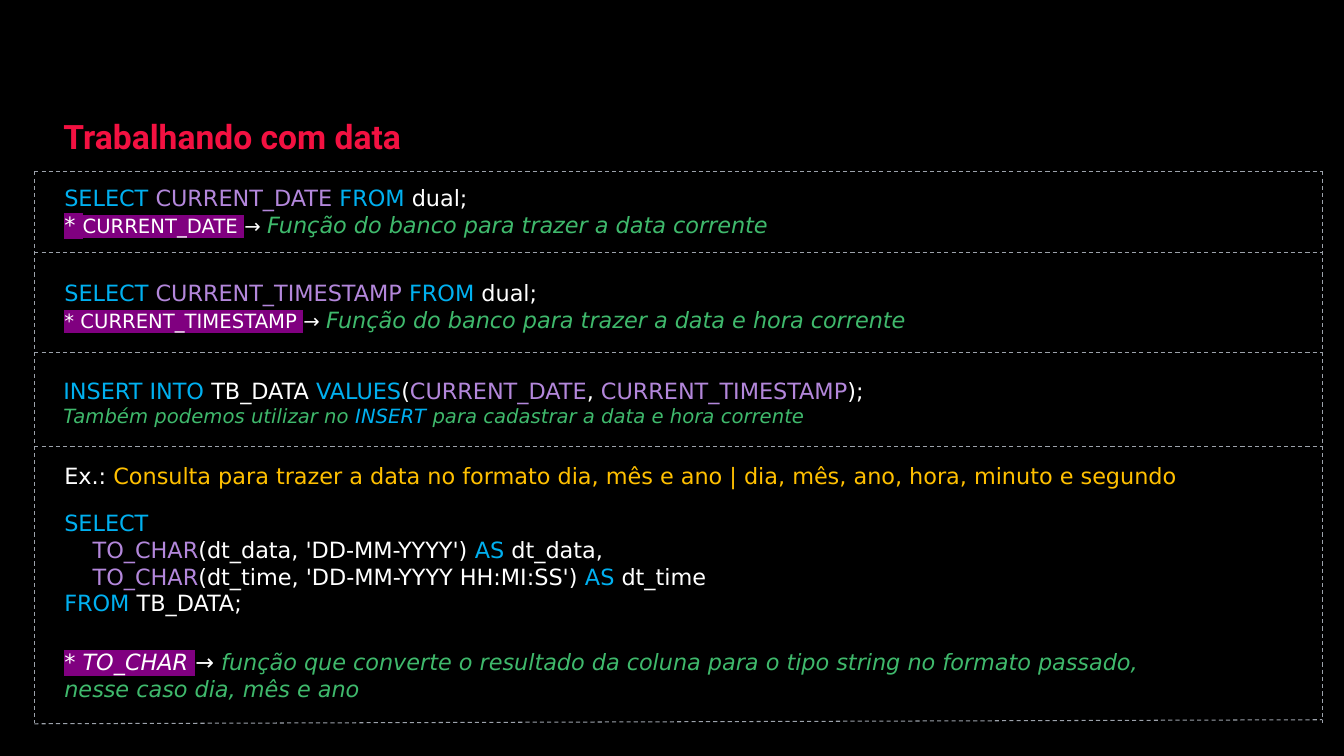
from lxml import etree
from pptx import Presentation
from pptx.dml.color import RGBColor
from pptx.enum.dml import MSO_LINE
from pptx.enum.text import MSO_AUTO_SIZE
from pptx.oxml.ns import qn
from pptx.util import Pt

DASH = MSO_LINE.DASH
GROW = MSO_AUTO_SIZE.SHAPE_TO_FIT_TEXT

COLOURS = {
    "background": "000000",
    "title": "F31141",
    "keyword": "00B0F0",
    "function": "B387DB",
    "plain": "FFFFFF",
    "note": "3FB96C",
    "example": "FFC000",
    "highlight": "800080",
    "border": "9CA2AB",
}
CODE_FONT = "DejaVu Sans"
TITLE_FONT = "Roboto"
TEXT_LEFT = 38.9
FRAME_LEFT, FRAME_RIGHT = 24.5, 944.6
FRAME_TOP, FRAME_BOTTOM = 122.4, 516.2


def rgb(name):
    return RGBColor.from_string(COLOURS[name])


def add_run(paragraph, text, colour, size=16, italic=False, marked=False,
            font_name=CODE_FONT, bold=False):
    run = paragraph.add_run()
    run.text = text
    font = run.font
    font.size = Pt(size)
    font.italic = italic
    font.bold = bold
    font.color.rgb = rgb(colour)
    font.name = font_name
    if marked:
        # The highlight must stand before the typeface
        highlight = etree.Element(qn("a:highlight"))
        etree.SubElement(highlight, qn("a:srgbClr"), val=COLOURS["highlight"])
        run._r.rPr.find(qn("a:latin")).addprevious(highlight)


def add_text(slide, left, top, width, height, lines):
    """Each line is a list of runs: text, colour and optional settings."""
    box = slide.shapes.add_textbox(Pt(left), Pt(top), Pt(width), Pt(height))
    frame = box.text_frame
    frame.word_wrap = True
    frame.auto_size = GROW
    for index, runs in enumerate(lines):
        paragraph = frame.add_paragraph() if index else frame.paragraphs[0]
        for text, colour, *settings in runs:
            add_run(paragraph, text, colour, **(settings[0] if settings else {}))


def add_dashed_line(slide, x1, y1, x2, y2):
    line = slide.shapes.add_connector(1, Pt(x1), Pt(y1), Pt(x2), Pt(y2))
    line.line.color.rgb = rgb("border")
    line.line.width = Pt(0.75)
    line.line.dash_style = DASH
    etree.SubElement(line._element.spPr, qn("a:effectLst"))


def select_line(function):
    return [("SELECT ", "keyword"), (function + " ", "function"),
            ("FROM", "keyword"), (" dual;", "plain")]


def to_char_line(column, pattern, ending=""):
    return [("    ", "plain"), ("TO_CHAR", "function"),
            (f"({column}, '{pattern}') ", "plain"), ("AS", "keyword"),
            (f" {column.lower()}{ending}", "plain")]


def add_function_section(slide, top, width, function, star, purpose):
    explanation = [
        ("* ", "plain", {"marked": True, **star}),
        (function + " ", "plain", {"marked": True, "size": 14}),
        ("→ ", "plain", {"size": 14}),
        ("Função do banco para trazer a " + purpose, "note", {"italic": True}),
    ]
    add_text(slide, TEXT_LEFT, top, width, 46, [select_line(function), explanation])


def add_frame(slide):
    for y in (FRAME_TOP, 180.7, 252, 319):
        add_dashed_line(slide, FRAME_LEFT, y, FRAME_RIGHT, y)
    add_dashed_line(slide, FRAME_LEFT, 517, FRAME_RIGHT, 514.1)
    for x in (FRAME_LEFT, FRAME_RIGHT):
        add_dashed_line(slide, x, FRAME_TOP, x, FRAME_BOTTOM)


def main():
    presentation = Presentation()
    presentation.slide_width, presentation.slide_height = Pt(960), Pt(540)
    slide = presentation.slides.add_slide(presentation.slide_layouts[6])
    slide.background.fill.solid()
    slide.background.fill.fore_color.rgb = rgb("background")

    # Title
    add_text(slide, 38.2, 79.2, 480, 36, [[
        ("Trabalhando com data", "title",
         {"size": 24, "bold": True, "font_name": TITLE_FONT})]])

    # Current date and timestamp
    add_function_section(slide, 128.2, 576, "CURRENT_DATE", {}, "data corrente")
    add_function_section(slide, 195.8, 652, "CURRENT_TIMESTAMP",
                         {"size": 14, "italic": True}, "data e hora corrente")

    # Insert
    small_note = {"size": 14, "italic": True}
    add_text(slide, 38.2, 265.7, 619, 44, [
        [("INSERT INTO ", "keyword"), ("TB_DATA ", "plain"),
         ("VALUES", "keyword"), ("(", "plain"), ("CURRENT_DATE", "function"),
         (", ", "plain"), ("CURRENT_TIMESTAMP", "function"), (");", "plain")],
        [("Também podemos utilizar no ", "note", small_note),
         ("INSERT", "keyword", small_note),
         (" para cadastrar a data e hora corrente", "note", small_note)],
    ])

    # Formatting example
    add_text(slide, TEXT_LEFT, 326.9, 858, 26.6, [[
        ("Ex.: ", "plain"),
        ("Consulta para trazer a data no formato dia, mês e ano | "
         "dia, mês, ano, hora, minuto e segundo", "example")]])
    add_text(slide, TEXT_LEFT, 360, 628, 85, [
        [("SELECT", "keyword")],
        to_char_line("dt_data", "DD-MM-YYYY", ","),
        to_char_line("dt_time", "DD-MM-YYYY HH:MI:SS"),
        [("FROM", "keyword"), (" TB_DATA;", "plain")],
    ])
    add_text(slide, TEXT_LEFT, 459.4, 804, 46, [[
        ("* TO_CHAR ", "plain", {"italic": True, "marked": True}),
        ("→ ", "plain", {"italic": True}),
        ("função que converte o resultado da coluna para o tipo string no "
         "formato passado, nesse caso dia, mês e ano", "note", {"italic": True})]])

    # Dashed frame and dividers
    add_frame(slide)
    presentation.save("out.pptx")


if __name__ == "__main__":
    main()
